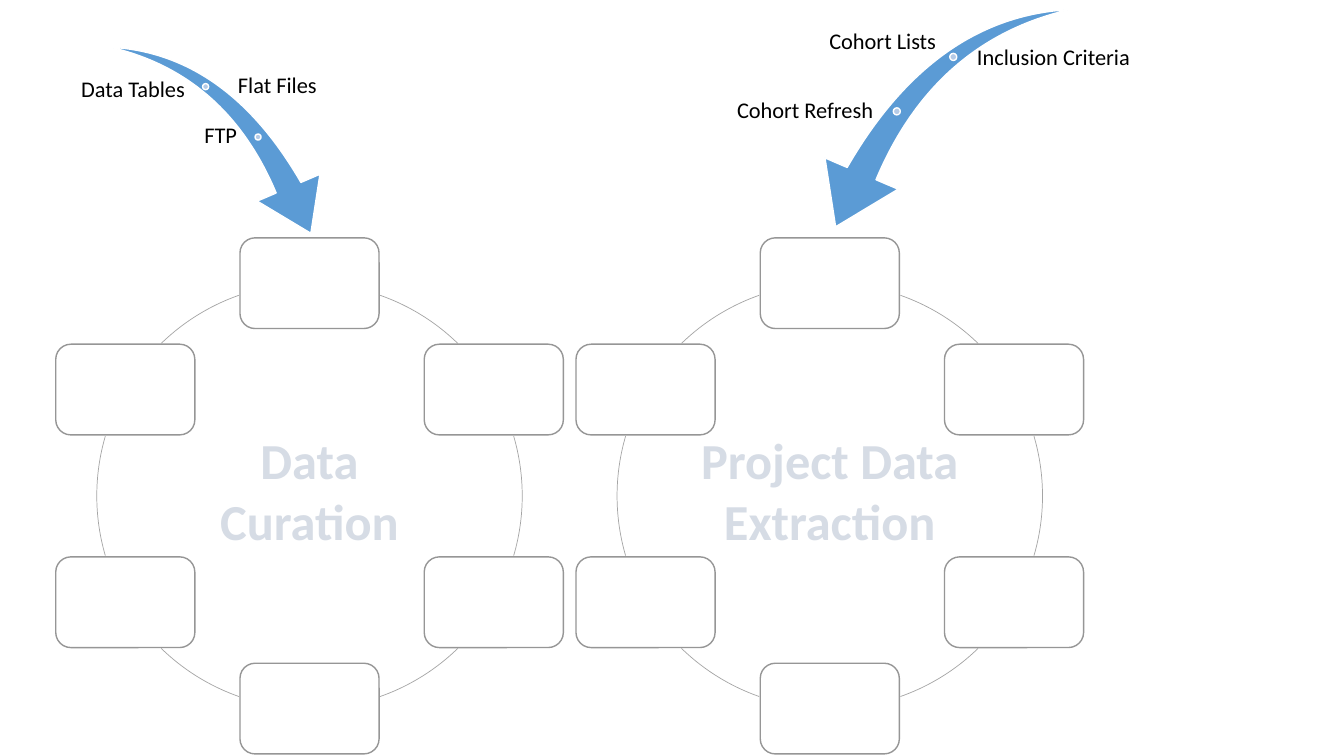
from math import cos, radians, sin

from lxml.etree import SubElement
from pptx import Presentation
from pptx.dml.color import RGBColor
from pptx.enum.dml import MSO_PATTERN
from pptx.enum.shapes import MSO_SHAPE
from pptx.enum.text import MSO_ANCHOR, MSO_AUTO_SIZE, PP_ALIGN
from pptx.oxml.ns import qn
from pptx.util import Inches, Pt

CYCLES = [
    {
        "title": ["Data", "Curation"],
        "title_area": (2.07, 4.21, 2, 1.31),
        "center": (3.07, 4.92),
        "arrow": {"area": (1.04, 0.54, 2.34, 1.63), "rotation": 73.3, "flipped": False},
        "dots": {"size": 0.06, "places": [(2.01, 0.83), (2.53, 1.33)]},
        "labels": [
            ("Data Tables", (0.77, 0.61, 1.1, 0.43), PP_ALIGN.CENTER, MSO_ANCHOR.BOTTOM),
            ("Flat Files", (2.34, 0.64, 1.52, 0.43), PP_ALIGN.LEFT, MSO_ANCHOR.MIDDLE),
            ("FTP", (0.88, 1.14, 1.49, 0.43), PP_ALIGN.RIGHT, MSO_ANCHOR.MIDDLE),
        ],
    },
    {
        "title": ["Project Data", "Extraction"],
        "title_area": (6.84, 4.21, 2.78, 1.31),
        "center": (8.23, 4.92),
        "arrow": {"area": (7.94, 0.18, 2.73, 1.9), "rotation": 286.7, "flipped": True},
        "dots": {"size": 0.07, "places": [(9.42, 0.53), (8.86, 1.07)]},
        "labels": [
            ("Cohort Lists", (8.11, 0.05, 1.29, 0.51), PP_ALIGN.CENTER, MSO_ANCHOR.BOTTOM),
            ("Inclusion Criteria", (9.67, 0.32, 1.77, 0.51), PP_ALIGN.LEFT, MSO_ANCHOR.MIDDLE),
            ("Cohort Refresh", (6.94, 0.85, 1.74, 0.51), PP_ALIGN.RIGHT, MSO_ANCHOR.MIDDLE),
        ],
    },
]
RADIUS = 2.11
BOX_WIDTH, BOX_HEIGHT = 1.38, 0.9
BOX_ANGLES = range(-90, 270, 60)
ARC_SPANS = [(-70.6, -45.8), (-16.3, 16.3), (45.8, 70.6),
             (109.4, 134.2), (163.7, 196.3), (225.8, 250.6)]
ARROW_ADJUSTMENTS = (0.163, 0.314)
ARC_UNITS_PER_DEGREE = 0.6


class Theme:
    font = "Calibri"
    label_size = Pt(16)
    label_space_after = Pt(5.6)
    title_size = Pt(36)
    white = RGBColor.from_string("FFFFFF")
    black = RGBColor.from_string("000000")
    box_line = RGBColor.from_string("969696")
    ring = RGBColor.from_string("A5A5A5")
    arrow = RGBColor.from_string("5B9BD5")
    dot = RGBColor.from_string("B5CBE7")
    title_front = RGBColor.from_string("44546A")
    title_back = RGBColor.from_string("D6DCE5")
    title_outline = "333F50"


def inches(area):
    return [Inches(length) for length in area]


def add_figure(group, kind, area, fill, line, line_width=1):
    shape = group.shapes.add_shape(kind, *inches(area))
    shape.shadow.inherit = False
    if fill is None:
        shape.fill.background()
    else:
        shape.fill.solid()
        shape.fill.fore_color.rgb = fill
    shape.line.color.rgb = line
    shape.line.width = Pt(line_width)
    return shape


def add_run(paragraph, text, size):
    run = paragraph.add_run()
    run.text = text
    run.font.name = Theme.font
    run.font.size = size
    return run


def add_ring(slide, center):
    group = slide.shapes.add_group_shape()
    left, top = center[0] - RADIUS, center[1] - RADIUS
    for box_angle, span in zip(BOX_ANGLES, ARC_SPANS):
        box_left = center[0] + RADIUS * cos(radians(box_angle)) - BOX_WIDTH / 2
        box_top = center[1] + RADIUS * sin(radians(box_angle)) - BOX_HEIGHT / 2
        add_figure(group, MSO_SHAPE.ROUNDED_RECTANGLE,
                   (box_left, box_top, BOX_WIDTH, BOX_HEIGHT), Theme.white, Theme.box_line)
        arc = add_figure(group, MSO_SHAPE.ARC, (left, top, 2 * RADIUS, 2 * RADIUS),
                         None, Theme.ring, 0.5)
        for index, angle in enumerate(span):
            arc.adjustments[index] = angle % 360 * ARC_UNITS_PER_DEGREE


def add_label(group, text, area, alignment, anchor):
    frame = group.shapes.add_textbox(*inches(area)).text_frame
    frame.word_wrap = True
    frame.vertical_anchor = anchor
    frame.margin_left = frame.margin_right = Inches(0.02)
    frame.margin_top = frame.margin_bottom = Inches(0.02)
    paragraph = frame.paragraphs[0]
    paragraph.alignment = alignment
    paragraph.line_spacing = 0.9
    paragraph.space_after = Theme.label_space_after
    add_run(paragraph, text, Theme.label_size).font.color.rgb = Theme.black


def add_inflow(slide, arrow, dots, labels):
    group = slide.shapes.add_group_shape()
    swoosh = add_figure(group, MSO_SHAPE.SWOOSH_ARROW, arrow["area"], Theme.arrow, Theme.white)
    for index, value in enumerate(ARROW_ADJUSTMENTS):
        swoosh.adjustments[index] = value
    swoosh.rotation = arrow["rotation"]
    if arrow["flipped"]:
        swoosh.element.spPr.xfrm.set("flipH", "1")
    for place in dots["places"]:
        add_figure(group, MSO_SHAPE.OVAL, (*place, dots["size"], dots["size"]),
                   Theme.dot, Theme.white)
    for label in labels:
        add_label(group, *label)


def add_cycle_title(slide, lines, area):
    frame = slide.shapes.add_textbox(*inches(area)).text_frame
    frame.word_wrap = False
    frame.auto_size = MSO_AUTO_SIZE.SHAPE_TO_FIT_TEXT
    for index, text in enumerate(lines):
        paragraph = frame.add_paragraph() if index else frame.paragraphs[0]
        paragraph.alignment = PP_ALIGN.CENTER
        font = add_run(paragraph, text, Theme.title_size).font
        font.bold = True
        font.fill.patterned()
        font.fill.pattern = MSO_PATTERN.DARK_UPWARD_DIAGONAL
        font.fill.fore_color.rgb = Theme.title_front
        font.fill.back_color.rgb = Theme.title_back
        properties = font._element
        outline = SubElement(properties, qn("a:ln"), w=str(int(Pt(1))))
        solid = SubElement(outline, qn("a:solidFill"))
        SubElement(solid, qn("a:srgbClr"), val=Theme.title_outline)
        properties.insert(0, outline)


def main():
    presentation = Presentation()
    presentation.slide_width = Inches(13.33)
    presentation.slide_height = Inches(7.5)
    slide = presentation.slides.add_slide(presentation.slide_layouts[6])
    for cycle in CYCLES:
        add_ring(slide, cycle["center"])
        add_inflow(slide, cycle["arrow"], cycle["dots"], cycle["labels"])
    for cycle in CYCLES:
        add_cycle_title(slide, cycle["title"], cycle["title_area"])
    presentation.save("out.pptx")


if __name__ == "__main__":
    main()
